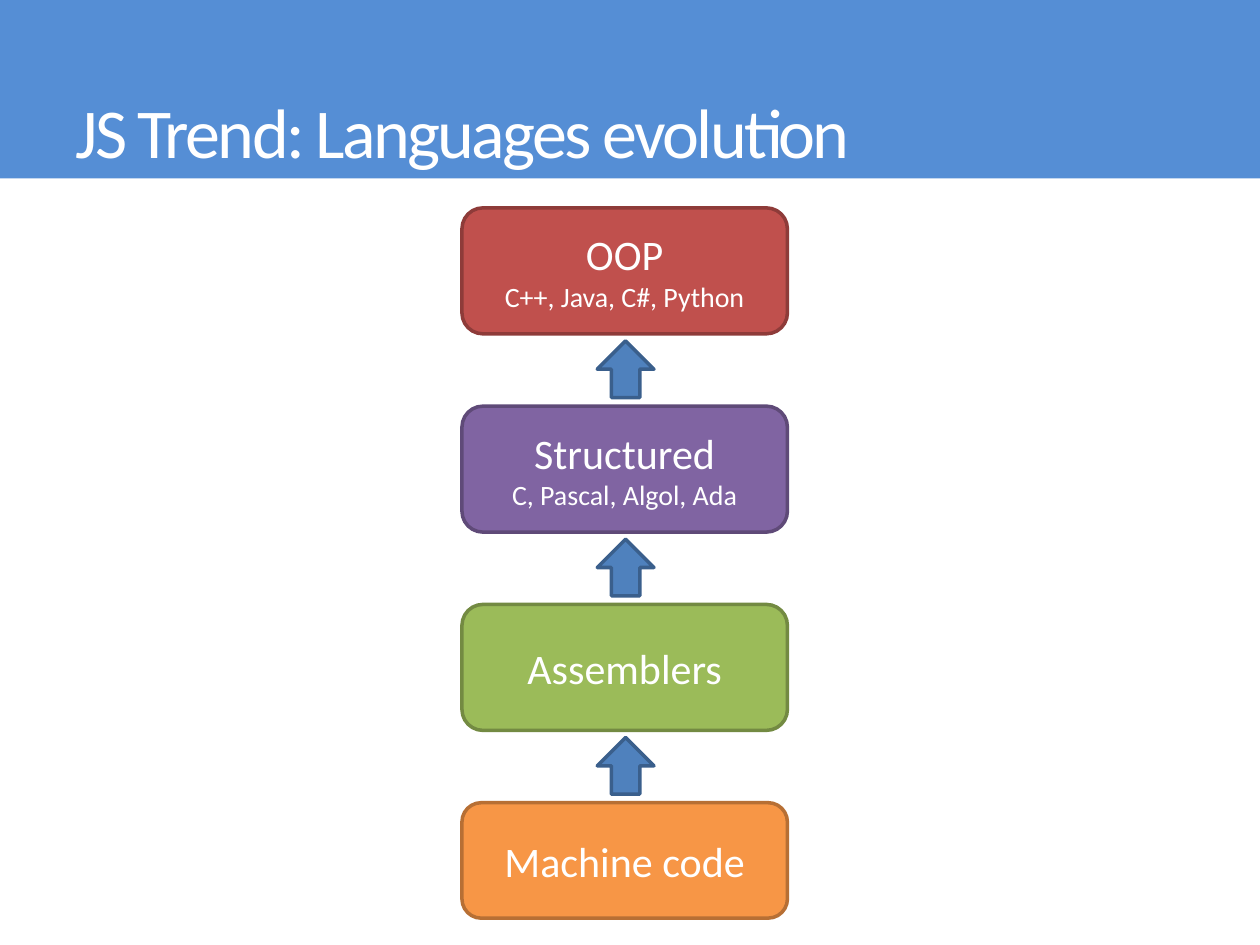
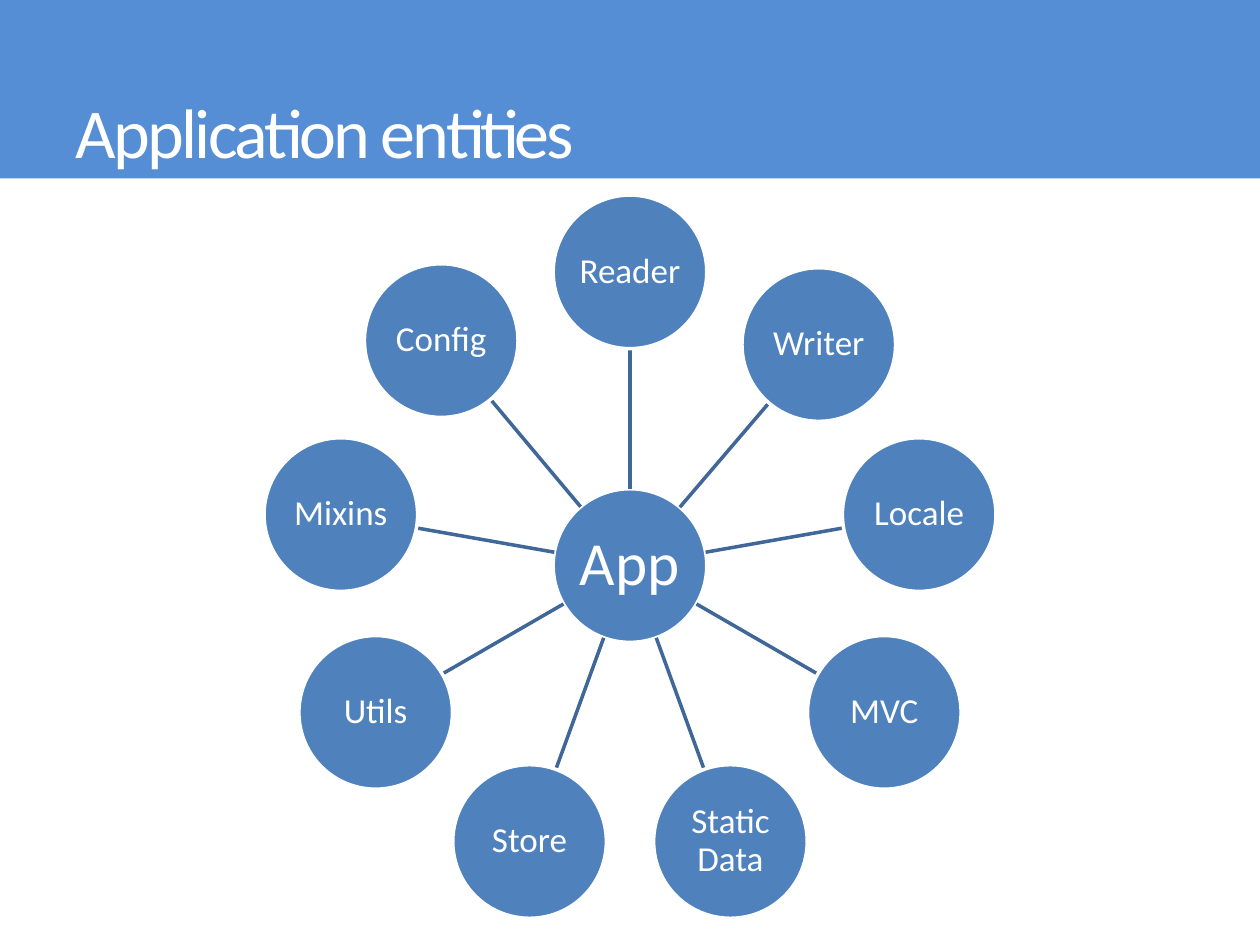
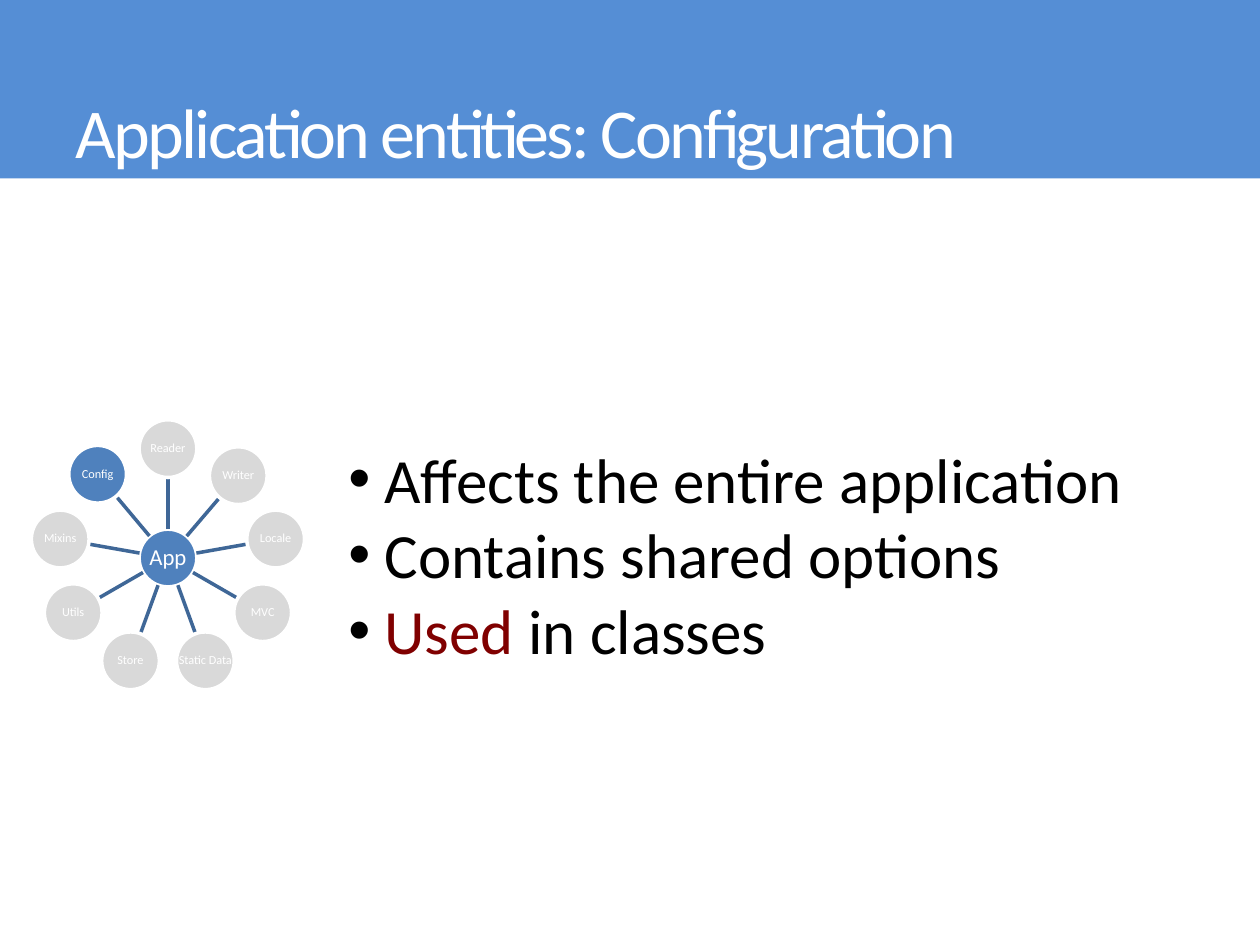
from math import cos, radians, sin

from lxml.etree import SubElement
from pptx import Presentation
from pptx.dml.color import RGBColor
from pptx.enum.shapes import MSO_CONNECTOR, MSO_SHAPE
from pptx.enum.text import MSO_ANCHOR, PP_ALIGN
from pptx.oxml.ns import qn
from pptx.util import Pt

FONT = "Calibri"
COLORS = {
    "band": "558ED5", "white": "FFFFFF", "black": "000000", "accent": "800000",
    "blue": "4F81BD", "blue_edge": "3A5F8C", "spoke": "3F6797", "muted": "D9D9D9",
    "red": "C0504D", "red_edge": "8E3B39",
    "purple": "8064A2", "purple_edge": "5F4A78",
    "green": "9BBB59", "green_edge": "738A42",
    "orange": "F79646", "orange_edge": "B76F34",
}

# Language generations, newest first: name, examples, colour, height
GENERATIONS = [
    ("OOP", "C++, Java, C#, Python", "red", 72),
    ("Structured", "C, Pascal, Algol, Ada", "purple", 72),
    ("Assemblers", None, "green", 72),
    ("Machine code", None, "orange", 66),
]

# Entities clockwise from the top: name, angle in degrees, share of the radius
ENTITIES = [
    ("Reader", 0, 1), ("Writer", 40.5, 0.99), ("Locale", 80, 1),
    ("MVC", 120, 1), ("Static Data", 160, 1), ("Store", 200, 1),
    ("Utils", 240, 1), ("Mixins", 280, 1), ("Config", 320, 1),
]


def color(name):
    return RGBColor.from_string(COLORS[name])


def style(paragraph, size, color_name="white", align=None):
    paragraph.alignment = align
    paragraph.font.name = FONT
    paragraph.font.size = Pt(size)
    paragraph.font.color.rgb = color(color_name)


def add_shape(page, kind, left, top, width, height, fill, edge=None):
    shape = page.shapes.add_shape(kind, Pt(left), Pt(top), Pt(width), Pt(height))
    shape.shadow.inherit = False
    shape.fill.solid()
    shape.fill.fore_color.rgb = color(fill)
    if edge:
        shape.line.color.rgb = color(edge)
        shape.line.width = Pt(2)
    else:
        shape.line.fill.background()
    return shape


def add_page(deck, title):
    """Blank page with the title band and its title."""
    page = deck.slides.add_slide(deck.slide_layouts[6])
    add_shape(page, MSO_SHAPE.RECTANGLE, 0, 0, 720, 102, "band")
    box = page.shapes.add_textbox(Pt(36), Pt(36), Pt(648), Pt(66))
    frame = box.text_frame
    frame.word_wrap = True
    frame.vertical_anchor = MSO_ANCHOR.BOTTOM
    paragraph = frame.paragraphs[0]
    span = paragraph.add_run()
    span.text = title
    span._r.get_or_add_rPr().set("spc", "-150")  # tight letter spacing
    style(paragraph, 40)
    return page


def add_generation(page, top, name, examples, fill, height):
    box = add_shape(page, MSO_SHAPE.ROUNDED_RECTANGLE, 264, top, 186, height,
                    fill, fill + "_edge")
    frame = box.text_frame
    frame.vertical_anchor = MSO_ANCHOR.MIDDLE
    frame.text = name
    style(frame.paragraphs[0], 24, align=PP_ALIGN.CENTER)
    if examples:
        paragraph = frame.add_paragraph()
        paragraph.text = examples
        style(paragraph, 16, align=PP_ALIGN.CENTER)


def add_evolution(page):
    """Stack of generations with an arrow up between neighbours."""
    first_top, pitch, arrow = 118.8, 113.3, 32.4
    for index, generation in enumerate(GENERATIONS):
        top = first_top + index * pitch
        add_generation(page, top, *generation)
        if index:
            add_shape(page, MSO_SHAPE.UP_ARROW, 341.3, top - 37.3, arrow, arrow,
                      "blue", "blue_edge")


def add_node(page, x, y, diameter, name, size, fill, wrap):
    node = add_shape(page, MSO_SHAPE.OVAL, x - diameter / 2, y - diameter / 2,
                     diameter, diameter, fill, "white")
    frame = node.text_frame
    frame.margin_left = frame.margin_right = Pt(0.5)
    frame.margin_top = frame.margin_bottom = Pt(0.5)
    frame.word_wrap = wrap
    frame.vertical_anchor = MSO_ANCHOR.MIDDLE
    frame.text = name
    frame.paragraphs[0].line_spacing = 0.9
    style(frame.paragraphs[0], size, align=PP_ALIGN.CENTER)


def add_spoke(page, start, end):
    points = [Pt(value) for value in (*start, *end)]
    spoke = page.shapes.add_connector(MSO_CONNECTOR.STRAIGHT, *points)
    spoke.line.color.rgb = color("spoke")
    spoke.line.width = Pt(2)
    SubElement(spoke._element.spPr, qn("a:effectLst"))


def add_wheel(page, x, y, radius, diameter, hub_size, size, active=None, wrap=True):
    """App hub with its entities around; only the active one keeps its colour."""
    add_node(page, x, y, diameter, "App", hub_size, "blue", wrap)
    for name, angle, share in ENTITIES:
        def point(distance):
            turn = radians(angle)
            return x + distance * sin(turn), y - distance * cos(turn)

        reach = radius * share
        add_spoke(page, point(diameter / 2), point(reach - diameter / 2))
        fill = "blue" if active in (None, name) else "muted"
        add_node(page, *point(reach), diameter, name, size, fill, wrap)


def add_bullets(page, items):
    """Bulleted text; each item is a list of (text, colour) spans."""
    box = page.shapes.add_textbox(Pt(192), Pt(248), Pt(498), Pt(138))
    frame = box.text_frame
    frame.word_wrap = True
    for index, spans in enumerate(items):
        paragraph = frame.add_paragraph() if index else frame.paragraphs[0]
        properties = paragraph._p.get_or_add_pPr()
        indent = Pt(20.7)
        properties.set("marL", str(indent))
        properties.set("indent", str(-indent))
        bullet_color = SubElement(properties, qn("a:buClr"))
        SubElement(bullet_color, qn("a:srgbClr"), val=COLORS["black"])
        SubElement(properties, qn("a:buFont"), typeface="Arial")
        SubElement(properties, qn("a:buChar"), char="•")
        style(paragraph, 36, "black")
        for text, color_name in spans:
            span = paragraph.add_run()
            span.text = text
            if color_name != "black":
                span.font.color.rgb = color(color_name)


def main():
    deck = Presentation()
    deck.slide_width, deck.slide_height = Pt(720), Pt(540)

    # Languages
    add_evolution(add_page(deck, "JS Trend: Languages evolution"))

    # All entities
    page = add_page(deck, "Application entities")
    add_wheel(page, 360, 323.2, 167.8, 87.8, hub_size=35, size=20)

    # Configuration
    page = add_page(deck, "Application entities: Configuration")
    add_wheel(page, 96, 318.9, 62.5, 33, hub_size=13, size=7,
              active="Config", wrap=False)
    add_bullets(page, [
        [("Affects the entire application", "black")],
        [("Contains shared options", "black")],
        [("Used", "accent"), (" in classes", "black")],
    ])

    deck.save("out.pptx")


if __name__ == "__main__":
    main()
